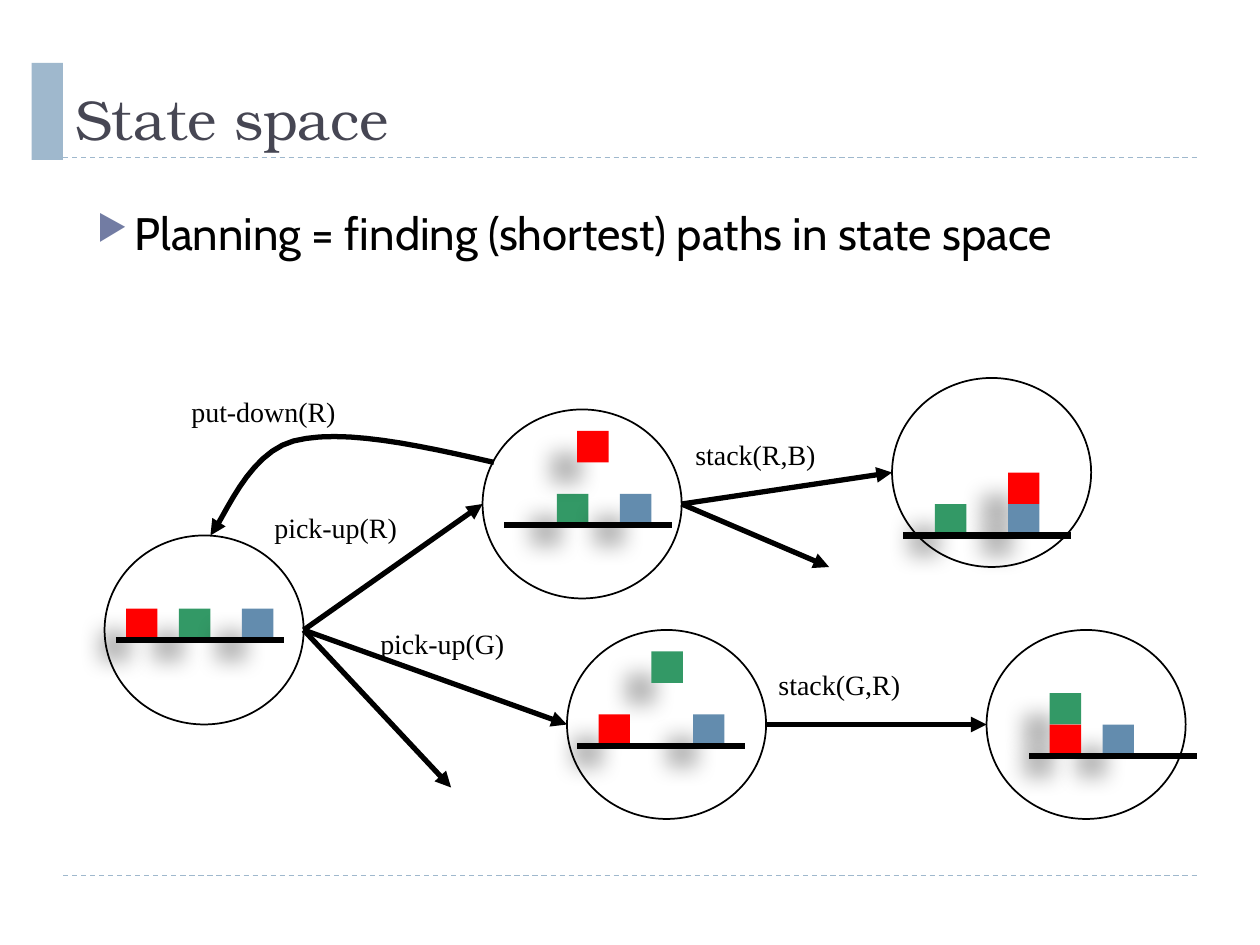
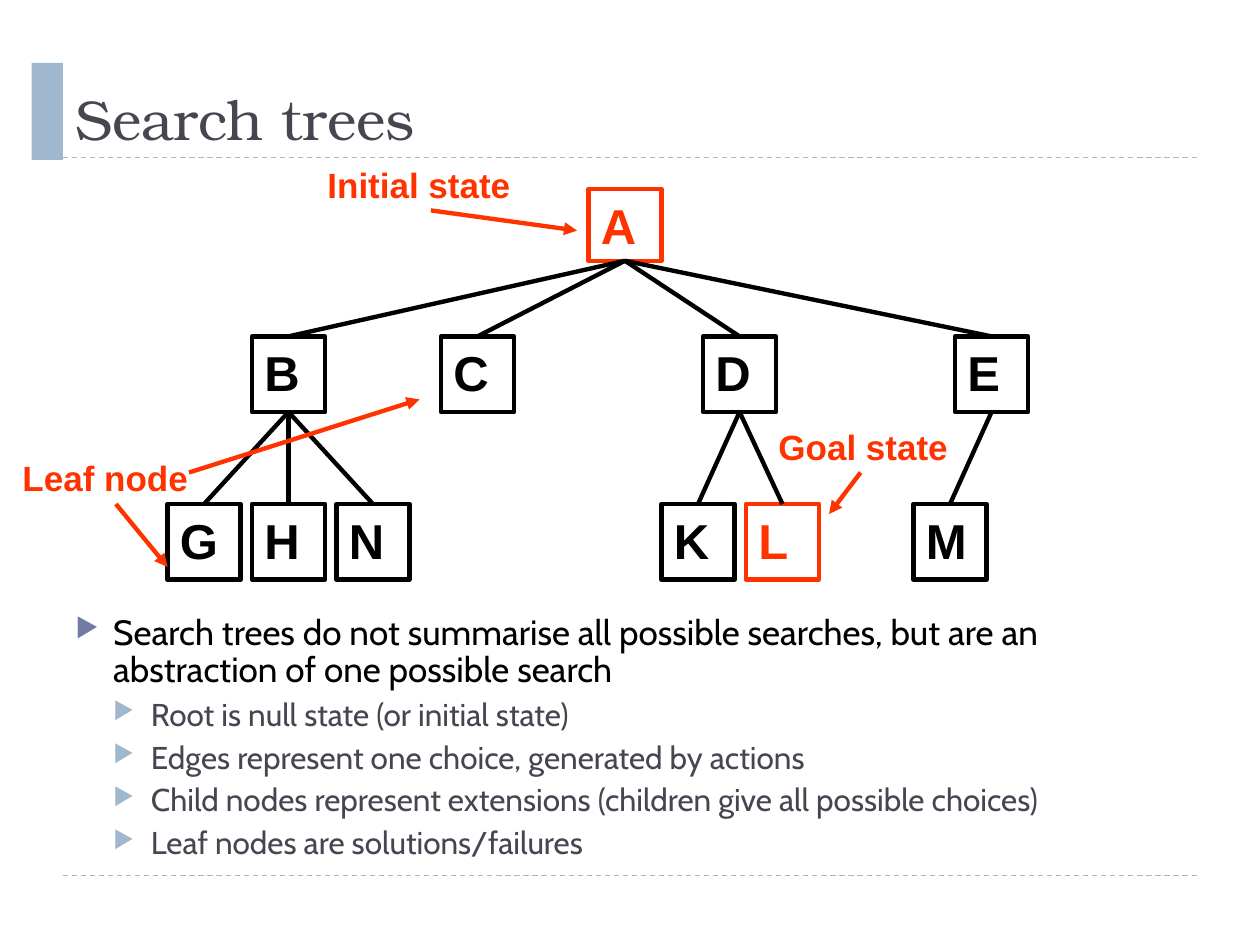
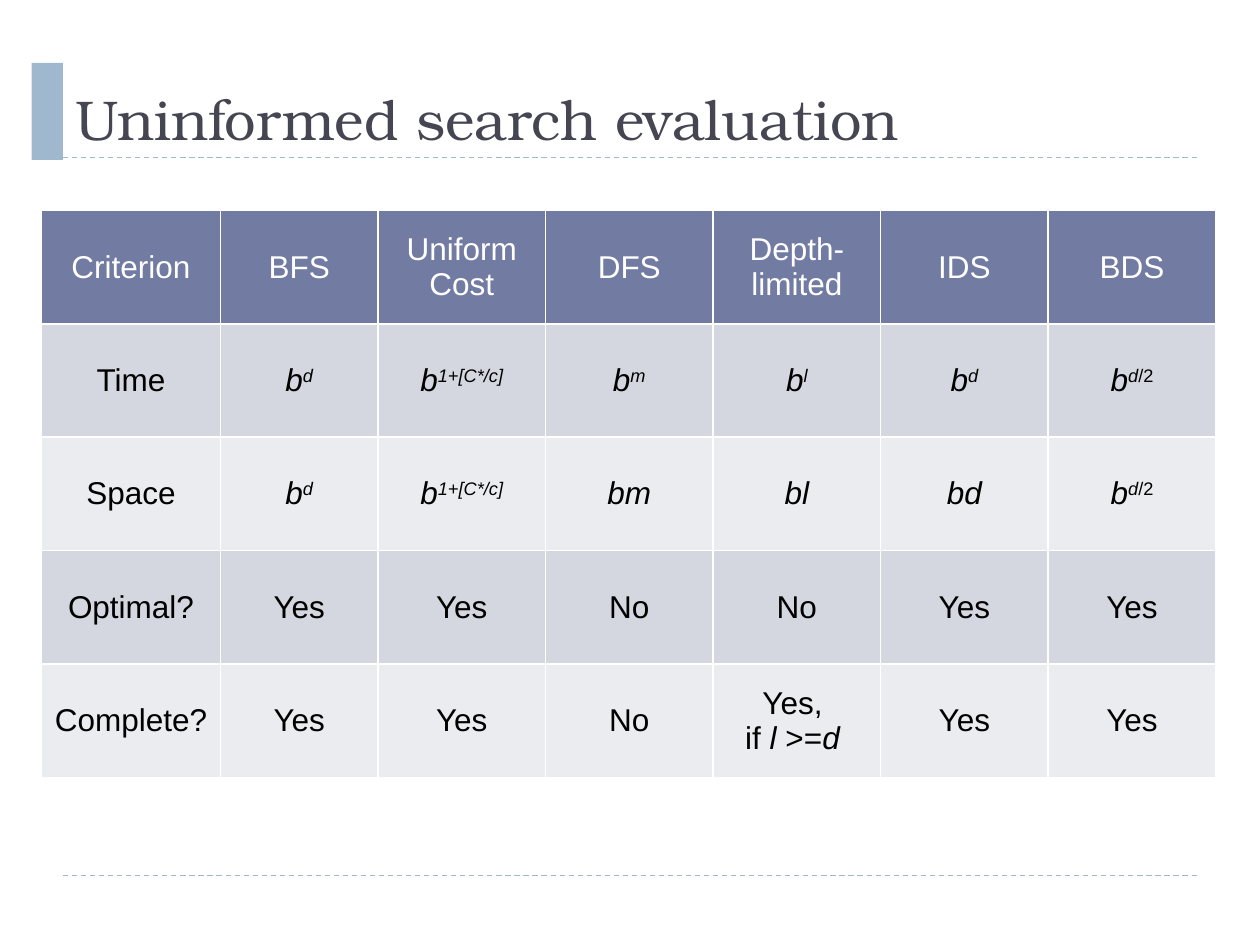
import lxml.etree
import pptx
import pptx.dml.color
import pptx.enum.dml
import pptx.enum.shapes
import pptx.enum.text
import pptx.oxml.ns
import pptx.util
from dataclasses import dataclass

Inches = pptx.util.Inches
Pt = pptx.util.Pt
SHAPE = pptx.enum.shapes.MSO_SHAPE
ANCHOR = pptx.enum.text.MSO_ANCHOR
ALIGN = pptx.enum.text.PP_ALIGN


@dataclass(frozen=True)
class Theme:
    ink: str = "000000"
    white: str = "FFFFFF"
    heading: str = "464653"
    band: str = "9FB8CD"
    accent: str = "727CA3"
    row_dark: str = "D5D7E0"
    row_light: str = "EBECF0"
    red: str = "FF0000"
    green: str = "339966"
    blue: str = "638CAE"
    mark: str = "FF3300"
    title_font: str = "TeX Gyre Bonum"
    body_font: str = "Cabin"
    label_font: str = "Times New Roman"
    plain_font: str = "Arial"
    title_size: int = 32
    lead_size: int = 26
    point_size: int = 20
    sub_size: int = 18
    label_size: int = 16
    node_size: int = 28
    callout_size: int = 20
    cell_size: int = 18


THEME = Theme()

# ---- Content: state space ----
PLANNING_POINTS = [(0, "Planning = finding (shortest) paths in state space")]
STATE_SIZE = (1.58, 1.5)
BLOCK = 0.25
GROUND_LENGTH = 1.33
# name: circle corner, ground start, blocks as (colour, left, blocks above ground)
STATES = {
    "start": ((0.83, 4.25), (0.92, 5.08),
              [(THEME.green, 1.42, 0), (THEME.blue, 1.92, 0), (THEME.red, 1, 0)]),
    "holding R": ((3.83, 3.25), (4, 4.17),
                  [(THEME.green, 4.42, 0), (THEME.blue, 4.92, 0), (THEME.red, 4.58, 2)]),
    "R on B": ((7.08, 3), (7.17, 4.25),
               [(THEME.green, 7.42, 0), (THEME.red, 8, 1), (THEME.blue, 8, 0)]),
    "holding G": ((4.5, 5), (4.58, 5.92),
                  [(THEME.green, 5.17, 2), (THEME.blue, 5.5, 0), (THEME.red, 4.75, 0)]),
    "G on R": ((7.83, 5), (8.17, 6),
               [(THEME.blue, 8.75, 0), (THEME.green, 8.33, 1), (THEME.red, 8.33, 0)]),
}
# An action leads to a named state or to an open point
ACTIONS = [
    ("start", "holding R"), ("start", "holding G"), ("start", (3.58, 6.25)),
    ("holding R", "R on B"), ("holding R", (6.58, 4.5)), ("holding G", "G on R"),
]
ACTION_LABELS = [
    ("pick-up(R)", 2.08, 4, 1.53), ("pick-up(G)", 2.92, 4.92, 1.67),
    ("stack(R,B)", 5.42, 3.42, 1.75), ("put-down(R)", 1.42, 3.08, 1.92),
    ("stack(G,R)", 6.08, 5.25, 2.08),
]
PUT_DOWN_CURVE = [
    [(3.92, 3.67), (3.31, 3.53), (2.71, 3.4), (2.33, 3.5)],
    [(2.33, 3.5), (1.96, 3.6), (1.78, 4.12), (1.67, 4.25)],
]

# ---- Content: search tree ----
NODE_WIDTH = 0.58
NODES = {
    "A": (4.67, 1.5), "B": (2, 2.67), "C": (3.5, 2.67), "D": (5.58, 2.67),
    "E": (7.58, 2.67), "G": (1.33, 4), "H": (2, 4), "N": (2.67, 4),
    "K": (5.25, 4), "L": (5.92, 4), "M": (7.25, 4),
}
MARKED_NODES = "AL"
CHILDREN = {"A": "EDCB", "B": "HGN", "D": "KL", "E": "M"}
CALLOUTS = [
    ("Initial state", 2.5, 1.25, 2.42), ("Goal state", 6.08, 3.33, 1.8),
    ("Leaf node", 0.08, 3.57, 1.67),
]
CALLOUT_ARROWS = [
    ((3.42, 1.67), (4.58, 1.83)), ((6.83, 3.75), (6.58, 4.08)),
    ((0.92, 4), (1.33, 4.5)), ((1.5, 3.75), (3.33, 3.17)),
]
TREE_POINTS = [
    (0, "Search trees do not summarise all possible searches, but are an "
        "abstraction of one possible search"),
    (1, "Root is null state (or initial state)"),
    (1, "Edges represent one choice, generated by actions"),
    (1, "Child nodes represent extensions (children give all possible choices)"),
    (1, "Leaf nodes are solutions/failures"),
]

# ---- Content: evaluation table; a cell is text or a list of paragraphs of runs,
# and a run is (text, style) with i for italic and s for superscript ----
B_D = [[("b", "i"), ("d", "is")]]
B_COST = [[("b", "i"), ("1+[C*/c]", "is")]]
B_HALF_D = [[("b", "i"), ("d", "is"), ("/2", "s")]]
EVALUATION = [
    ["Criterion", "BFS", [[("Uniform", "")], [("Cost", "")]], "DFS",
     "Depth-limited", "IDS", "BDS"],
    ["Time", B_D, B_COST, [[("b", "i"), ("m", "is")]], [[("b", "i"), ("l", "is")]],
     B_D, B_HALF_D],
    ["Space", B_D, B_COST, [[("bm", "i")]], [[("bl", "i")]], [[("bd", "i")]], B_HALF_D],
    ["Optimal?", "Yes", "Yes", "No", "No", "Yes", "Yes"],
    ["Complete?", "Yes", "Yes", "No",
     [[("Yes, ", "")], [("if ", ""), ("l", "i"), (" >=", ""), ("d ", "i")]],
     "Yes", "Yes"],
]
COLUMN_WIDTHS = [1.42, 1.25] + [1.33] * 5
ROW_HEIGHT = 0.9


# ---- Helpers ----
def rgb(value):
    return pptx.dml.color.RGBColor.from_string(value)


def add_xml(parent, tag, **attributes):
    element = lxml.etree.SubElement(parent, pptx.oxml.ns.qn(tag))
    for key, value in attributes.items():
        element.set(key, str(value))
    return element


def set_font(paragraph, name, size, color, bold=False):
    font = paragraph.font
    font.name, font.size, font.bold = name, Pt(size), bold
    font.color.rgb = rgb(color)


def style_line(line, color, width, arrow=False):
    line.color.rgb = rgb(color)
    line.width = Pt(width)
    if arrow:
        add_xml(line._get_or_add_ln(), "a:tailEnd", type="triangle")


def add_line(slide, start, end, color, width, arrow=False):
    connector = slide.shapes.add_connector(
        pptx.enum.shapes.MSO_CONNECTOR.STRAIGHT, *map(Inches, (*start, *end)))
    style_line(connector.line, color, width, arrow)
    add_xml(connector._element.spPr, "a:effectLst")
    return connector


def add_box(slide, kind, left, top, width, height, fill=None, line=None, line_width=1):
    box = slide.shapes.add_shape(kind, *map(Inches, (left, top, width, height)))
    box.shadow.inherit = False
    if fill:
        box.fill.solid()
        box.fill.fore_color.rgb = rgb(fill)
    else:
        box.fill.background()
    if line:
        style_line(box.line, line, line_width)
    else:
        box.line.fill.background()
    return box


def add_text(slide, text, left, top, width, height, *font, anchor=ANCHOR.TOP):
    frame = slide.shapes.add_textbox(*map(Inches, (left, top, width, height))).text_frame
    frame.word_wrap = True
    frame.vertical_anchor = anchor
    frame.text = text
    set_font(frame.paragraphs[0], *font)


def add_points(slide, points, left, top, width, height, lead_size, spacing):
    frame = slide.shapes.add_textbox(*map(Inches, (left, top, width, height))).text_frame
    frame.word_wrap = True
    levels = [(lead_size, THEME.ink, THEME.accent, 6),
              (THEME.sub_size, THEME.heading, THEME.band, 5)]
    for index, (level, text) in enumerate(points):
        size, color, bullet_color, before = levels[level]
        paragraph = frame.add_paragraph() if index else frame.paragraphs[0]
        paragraph.text = text
        paragraph.level = level
        paragraph.line_spacing = spacing
        paragraph.space_before = Pt(before)
        properties = paragraph._p.get_or_add_pPr()
        properties.set("marL", str(Inches(0.3 * (level + 1))))
        properties.set("indent", str(Inches(-0.3)))
        add_xml(add_xml(properties, "a:buClr"), "a:srgbClr", val=bullet_color)
        add_xml(properties, "a:buSzPct", val=76000)
        add_xml(properties, "a:buChar", char="▶")
        set_font(paragraph, THEME.body_font, size, color)


def add_titled_slide(deck, title):
    slide = deck.slides.add_slide(deck.slide_layouts[6])
    for y in (6.95, 1.25):
        rule = add_line(slide, (0.5, y), (9.5, y), THEME.band, 0.75)
        rule.line.dash_style = pptx.enum.dml.MSO_LINE.DASH
    add_box(slide, SHAPE.RECTANGLE, 0.25, 0.5, 0.25, 0.77, THEME.band)
    add_text(slide, title, 0.5, 0.17, 9, 1.08, THEME.title_font, THEME.title_size,
             THEME.heading, anchor=ANCHOR.BOTTOM)
    return slide


# ---- State space ----
def add_block(slide, color, left, top):
    block = add_box(slide, SHAPE.RECTANGLE, left, top, BLOCK, BLOCK, color)
    effects = block._element.spPr.find(pptx.oxml.ns.qn("a:effectLst"))
    shadow = add_xml(effects, "a:outerShdw", blurRad=Pt(11.8), dist=Pt(19.7),
                     dir=141 * 60000, algn="ctr", rotWithShape=0)
    add_xml(add_xml(shadow, "a:srgbClr", val=THEME.ink), "a:alpha", val=28000)


def curve_points(curve, steps=12):
    for step in range(1, steps + 1):
        t = step / steps
        weights = ((1 - t) ** 3, 3 * t * (1 - t) ** 2, 3 * t ** 2 * (1 - t), t ** 3)
        yield tuple(Inches(sum(w * point[axis] for w, point in zip(weights, curve)))
                    for axis in (0, 1))


def build_state_space(deck):
    slide = add_titled_slide(deck, "State space")
    width, height = STATE_SIZE
    for corner, _, _ in STATES.values():
        add_box(slide, SHAPE.OVAL, *corner, width, height, THEME.white, THEME.ink)

    # Actions run from a state's right side to the next state's left side
    for source, target in ACTIONS:
        left, top = STATES[source][0]
        end = target
        if target in STATES:
            next_left, next_top = STATES[target][0]
            end = (next_left, next_top + height / 2)
        add_line(slide, (left + width, top + height / 2), end, THEME.ink, 3, arrow=True)

    for _, (ground_left, ground_y), blocks in STATES.values():
        for color, left, lift in blocks:
            add_block(slide, color, left, ground_y - BLOCK * (lift + 1))
        add_line(slide, (ground_left, ground_y), (ground_left + GROUND_LENGTH, ground_y),
                 THEME.ink, 3.5)

    outline = slide.shapes.build_freeform(*map(Inches, PUT_DOWN_CURVE[0][0]))
    outline.add_line_segments(
        [point for curve in PUT_DOWN_CURVE for point in curve_points(curve)], close=False)
    put_down = outline.convert_to_shape()
    put_down.shadow.inherit = False
    put_down.fill.background()
    style_line(put_down.line, THEME.ink, 3, arrow=True)

    for text, left, top, label_width in ACTION_LABELS:
        add_text(slide, text, left, top, label_width, 0.37,
                 THEME.label_font, THEME.label_size, THEME.ink)
    add_points(slide, PLANNING_POINTS, 0.67, 1.58, 8.92, 0.67, THEME.lead_size, 1.0)


# ---- Search trees ----
def build_search_trees(deck):
    slide = add_titled_slide(deck, "Search trees")
    add_points(slide, TREE_POINTS, 0.5, 4.83, 9, 2.25, THEME.point_size, 0.9)

    nodes = {}
    for letter, (left, top) in NODES.items():
        color = THEME.mark if letter in MARKED_NODES else THEME.ink
        height = 0.57 if letter == "A" else 0.6
        node = add_box(slide, SHAPE.RECTANGLE, left, top, NODE_WIDTH, height,
                       line=color, line_width=2.5)
        frame = node.text_frame
        frame.text = letter
        frame.vertical_anchor = ANCHOR.TOP
        frame.paragraphs[0].alignment = ALIGN.LEFT
        set_font(frame.paragraphs[0], THEME.plain_font, THEME.node_size, color, True)
        nodes[letter] = node

    for parent, children in CHILDREN.items():
        for child in children:
            edge = add_line(slide, NODES[parent], NODES[child], THEME.ink, 2.5)
            edge.begin_connect(nodes[parent], 2)
            edge.end_connect(nodes[child], 0)

    for text, left, top, width in CALLOUTS:
        add_text(slide, text, left, top, width, 0.43,
                 THEME.plain_font, THEME.callout_size, THEME.mark, True)
    for start, end in CALLOUT_ARROWS:
        add_line(slide, start, end, THEME.mark, 2.5, arrow=True)


# ---- Uninformed search evaluation ----
def fill_cell(cell, content, fill, color):
    paragraphs = [[(content, "")]] if isinstance(content, str) else content
    cell.vertical_anchor = ANCHOR.MIDDLE
    frame = cell.text_frame
    for index, runs in enumerate(paragraphs):
        paragraph = frame.add_paragraph() if index else frame.paragraphs[0]
        paragraph.alignment = ALIGN.CENTER
        set_font(paragraph, THEME.plain_font, THEME.cell_size, color)
        for text, style in runs:
            run = paragraph.add_run()
            run.text = text
            if "i" in style:
                run.font.italic = True
            if "s" in style:
                run._r.get_or_add_rPr().set("baseline", "30000")
    properties = cell._tc.get_or_add_tcPr()
    for side in ("a:lnL", "a:lnR", "a:lnT", "a:lnB"):
        border = add_xml(properties, side, w=Pt(1))
        add_xml(add_xml(border, "a:solidFill"), "a:srgbClr", val=THEME.white)
    cell.fill.solid()
    cell.fill.fore_color.rgb = rgb(fill)


def build_evaluation(deck):
    slide = add_titled_slide(deck, "Uninformed search evaluation")
    table = slide.shapes.add_table(
        len(EVALUATION), len(COLUMN_WIDTHS), Inches(0.33), Inches(1.67),
        Inches(sum(COLUMN_WIDTHS)), Inches(ROW_HEIGHT * len(EVALUATION))).table
    for column, width in zip(table.columns, COLUMN_WIDTHS):
        column.width = Inches(width)
    for row, criteria in enumerate(EVALUATION):
        table.rows[row].height = Inches(ROW_HEIGHT)
        fill = THEME.row_dark if row % 2 else THEME.row_light
        color = THEME.ink
        if row == 0:
            fill, color = THEME.accent, THEME.white
        for column, content in enumerate(criteria):
            fill_cell(table.cell(row, column), content, fill, color)


def main():
    deck = pptx.Presentation()
    deck.slide_width, deck.slide_height = Inches(10), Inches(7.5)
    build_state_space(deck)
    build_search_trees(deck)
    build_evaluation(deck)
    deck.save("out.pptx")


if __name__ == "__main__":
    main()
